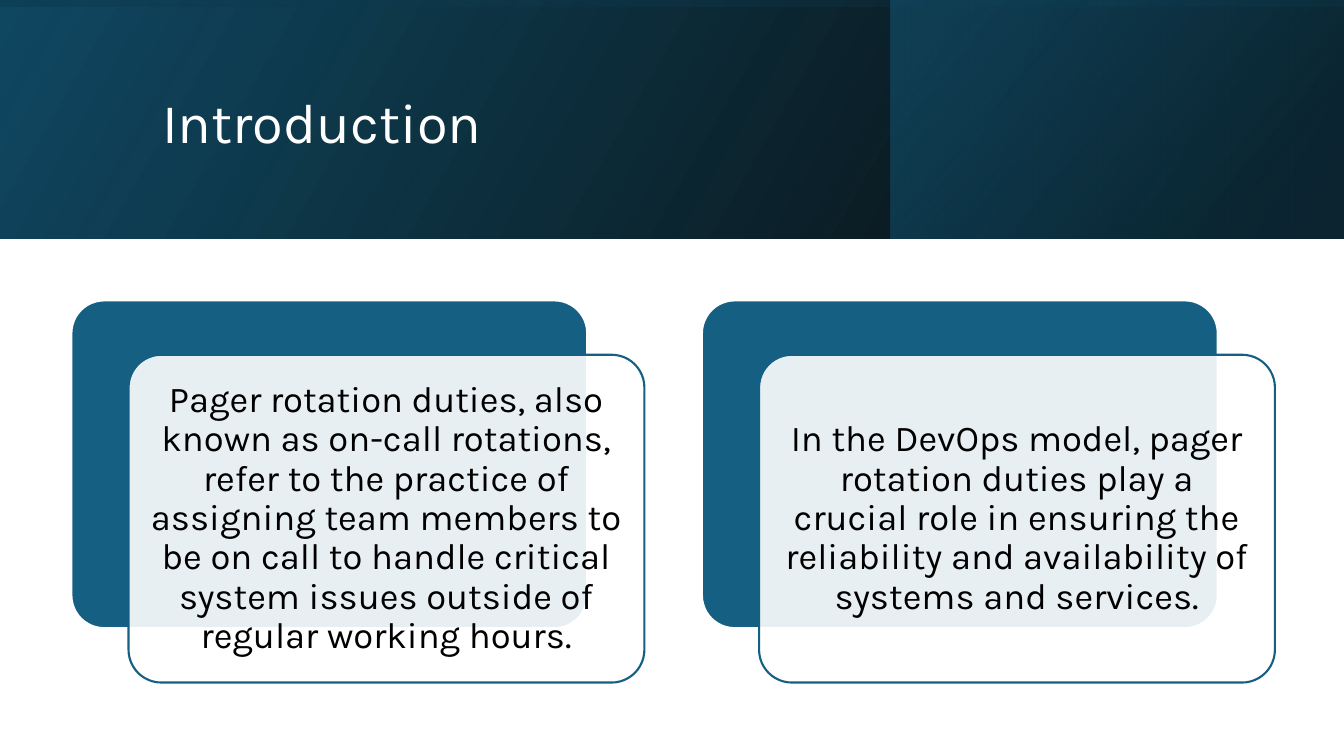
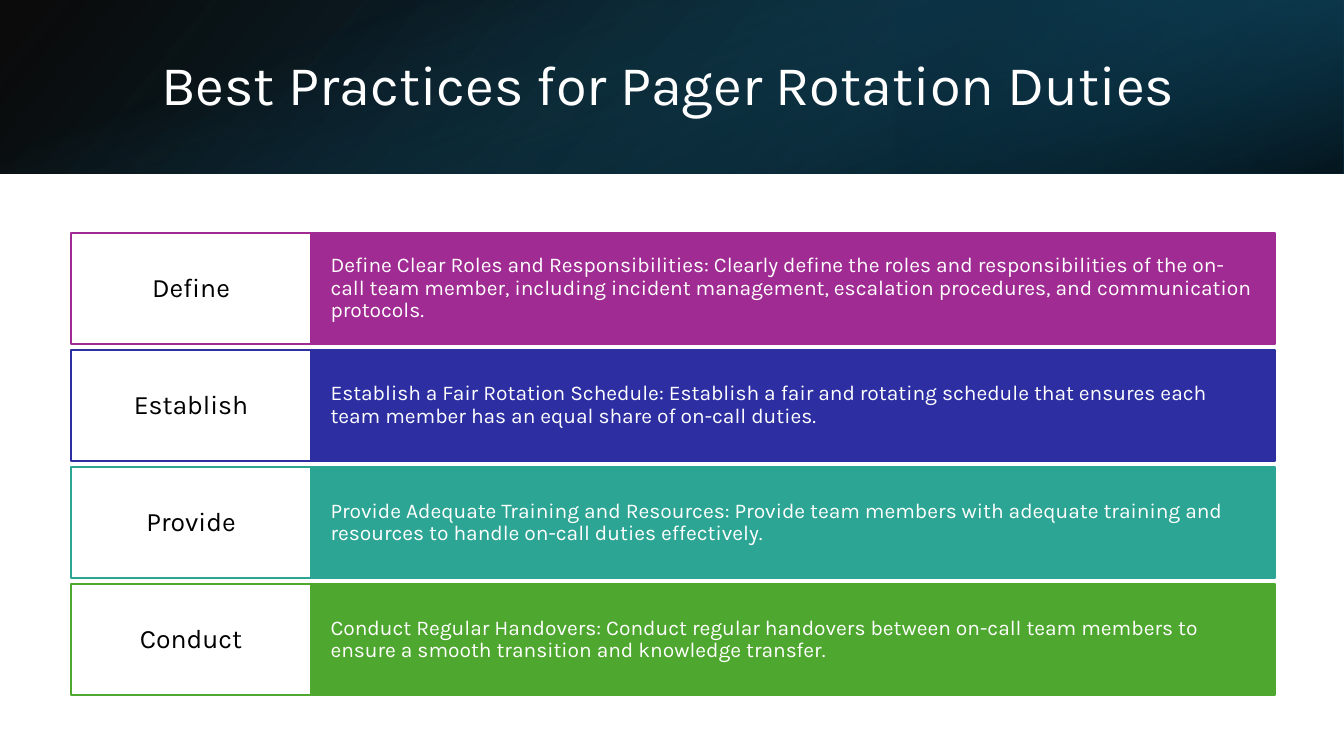
from pptx import Presentation
from pptx.dml.color import RGBColor
from pptx.enum.shapes import MSO_SHAPE as Preset
from pptx.enum.text import MSO_ANCHOR as Anchor, PP_ALIGN as Align
from pptx.oxml.ns import qn
from pptx.util import Cm, Pt
from lxml.etree import SubElement

WIDTH, HEIGHT = 33.87, 19.05
COLORS = {
    "white": "FFFFFF", "black": "000000",
    "teal": "156082", "deep": "104862", "night": "0B3041",
    "purple": "A02B93", "indigo": "2C2EA2", "aqua": "2DA594", "green": "4EA72E",
}


def rgb(name):
    return RGBColor.from_string(COLORS[name])


def set_alpha(color_element, percent):
    SubElement(color_element, qn("a:alpha")).set("val", str(percent * 1000))


class Deck:
    """Holds the shared style and the current slide."""
    font = "Karla"
    title_size = 40
    outline = 1.5
    spacing = 0.9

    def __init__(self):
        self.prs = Presentation()
        self.prs.slide_width, self.prs.slide_height = Cm(WIDTH), Cm(HEIGHT)
        self.slide = None

    def new_slide(self):
        self.slide = self.prs.slides.add_slide(self.prs.slide_layouts[6])

    def set_text(self, holder, text, size, color, align=Align.LEFT, insets=(0.25, 0.13)):
        frame = holder.text_frame
        frame.text = text
        frame.word_wrap = True
        frame.vertical_anchor = Anchor.MIDDLE
        frame.margin_left = frame.margin_right = Cm(insets[0])
        frame.margin_top = frame.margin_bottom = Cm(insets[1])
        paragraph = frame.paragraphs[0]
        paragraph.alignment = align
        paragraph.line_spacing = self.spacing
        font = paragraph.runs[0].font
        font.name, font.size = self.font, Pt(size)
        font.color.rgb = rgb(color)

    def title(self, text, left, top, width, height):
        box = self.slide.shapes.add_textbox(Cm(left), Cm(top), Cm(width), Cm(height))
        self.set_text(box, text, self.title_size, "white")

    def panel(self, box, fill, line, preset=Preset.RECTANGLE, opacity=100):
        panel = self.slide.shapes.add_shape(preset, *map(Cm, box))
        panel.shadow.inherit = False
        panel.fill.solid()
        panel.fill.fore_color.rgb = rgb(fill)
        if opacity < 100:
            set_alpha(next(panel._element.spPr.iter(qn("a:srgbClr"))), opacity)
        panel.line.color.rgb = rgb(line)
        panel.line.width = Pt(self.outline)
        if preset == Preset.ROUNDED_RECTANGLE:
            panel.adjustments[0] = 0.1
        return panel

    def gradient(self, box, stops, angle, rotation=0, flip=True):
        """Stops are (position %, colour, opacity %); angle runs clockwise."""
        layer = self.slide.shapes.add_shape(Preset.RECTANGLE, *map(Cm, box))
        layer.shadow.inherit = False
        layer.line.fill.background()
        layer.rotation = rotation
        properties = layer._element.spPr
        if flip:
            properties.find(qn("a:xfrm")).set("flipH", "1")
        layer.fill.gradient()
        layer.fill.gradient_angle = 360 - angle
        for stop, (position, color, _) in zip(layer.fill.gradient_stops, stops):
            stop.position = position / 100
            stop.color.rgb = rgb(color)
        for element, (_, _, opacity) in zip(properties.iter(qn("a:srgbClr")), stops):
            set_alpha(element, opacity)

    def band(self, height, base_angle, accent, overlay):
        """Header band: full-width base, right accent, turned overlay."""
        accent_left, accent_opacity, accent_turn = accent
        self.gradient((0, 0, WIDTH, height),
                      [(0, "black", 96), (100, "deep", 100)], base_angle)
        self.gradient((accent_left, 0, WIDTH - accent_left, height),
                      [(19, "night", 68), (100, "teal", accent_opacity)],
                      320, accent_turn)
        offset = (WIDTH - height) / 2
        self.gradient((offset, -offset, height, WIDTH), **overlay)

    def card(self, left, top, text):
        """Solid card with a translucent text card shifted over it."""
        width, height = 13, 8.26
        rounded = Preset.ROUNDED_RECTANGLE
        self.panel((left, top, width, height), "teal", "white", rounded)
        front = self.panel((left + 1.44, top + 1.37, width, height),
                           "white", "teal", rounded, opacity=90)
        self.set_text(front, text, 26, "black", Align.CENTER, (0.28, 0.28))

    def practice(self, top, label, text, color):
        """Row with an outlined label and a filled description."""
        left, label_width, body_width, height = 1.78, 6.07, 24.28, 2.8
        body = self.panel((left + label_width, top, body_width, height), color, color)
        self.set_text(body, text, 15, "white", insets=(0.48, 0.71))
        tag = self.panel((left, top, label_width, height), "white", color)
        self.set_text(tag, label, 19, "black", Align.CENTER, (0.33, 0.28))


DUTIES = [
    "Pager rotation duties, also known as on-call rotations, refer to the practice of "
    "assigning team members to be on call to handle critical system issues outside of "
    "regular working hours.",
    "In the DevOps model, pager rotation duties play a crucial role in ensuring the "
    "reliability and availability of systems and services.",
]
PRACTICES = [
    ("Define", "Define Clear Roles and Responsibilities: Clearly define the roles and "
     "responsibilities of the on-call team member, including incident management, "
     "escalation procedures, and communication protocols.", "purple"),
    ("Establish", "Establish a Fair Rotation Schedule: Establish a fair and rotating "
     "schedule that ensures each team member has an equal share of on-call duties.",
     "indigo"),
    ("Provide", "Provide Adequate Training and Resources: Provide team members with "
     "adequate training and resources to handle on-call duties effectively.", "aqua"),
    ("Conduct", "Conduct Regular Handovers: Conduct regular handovers between on-call "
     "team members to ensure a smooth transition and knowledge transfer.", "green"),
]


def main():
    deck = Deck()

    # Introduction
    deck.new_slide()
    deck.band(6.02, 330, accent=(22.45, 48, 0),
              overlay=dict(stops=[(23, "deep", 16), (99, "black", 45)],
                           angle=350, rotation=270))
    deck.title("Introduction", 3.84, 0.97, 27, 4.37)
    for column, duty in enumerate(DUTIES):
        deck.card(1.8 + 15.89 * column, 7.57, duty)

    # Best practices
    deck.new_slide()
    deck.band(4.37, 140, accent=(22.58, 79, 180),
              overlay=dict(stops=[(23, "teal", 0), (99, "black", 74)],
                           angle=340, rotation=90, flip=False))
    deck.title("Best Practices for Pager Rotation Duties", 3.81, 0.97, 27.89, 2.44)
    for row, (label, text, color) in enumerate(PRACTICES):
        deck.practice(5.87 + 2.95 * row, label, text, color)

    deck.prs.save("out.pptx")


if __name__ == "__main__":
    main()
